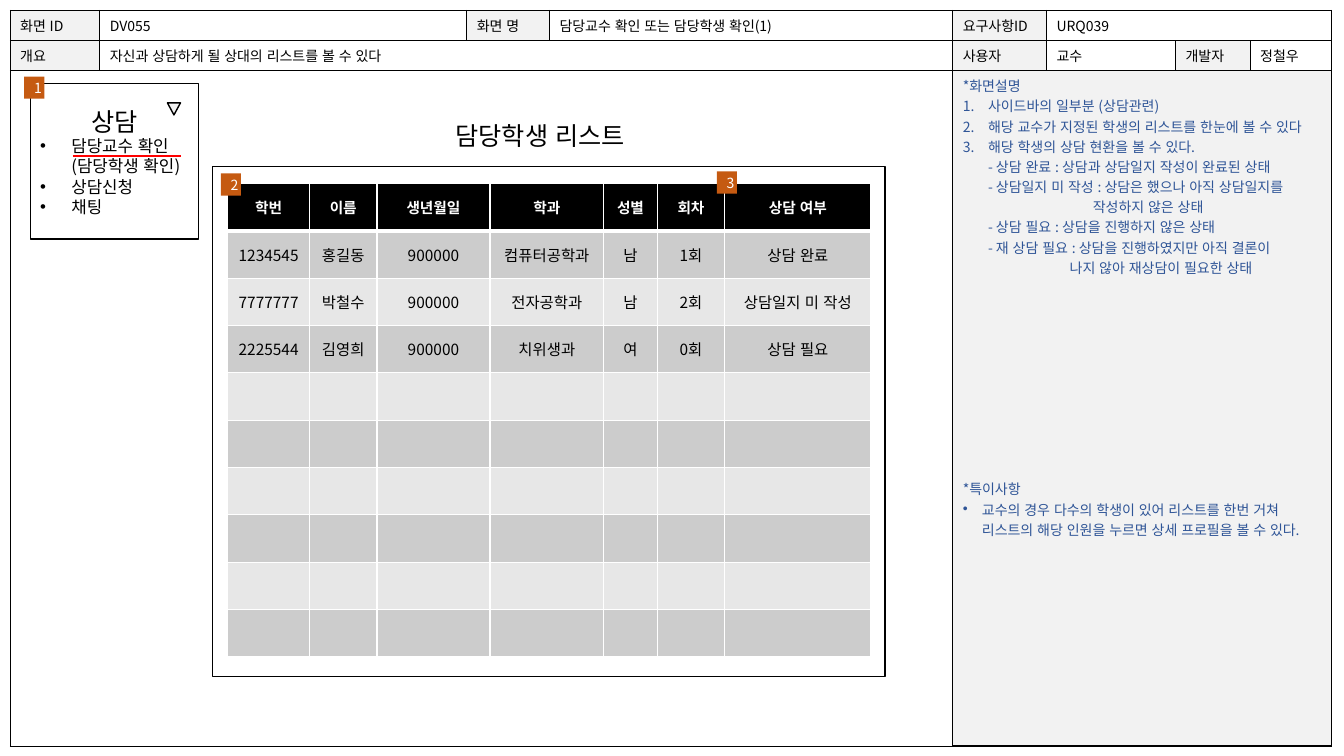
"""Builds the screen specification slide for the student list."""
from dataclasses import dataclass, field
from typing import Any

from lxml.etree import SubElement
from pptx import Presentation
from pptx.enum.lang import MSO_LANGUAGE_ID as Language
from pptx.enum.shapes import MSO_CONNECTOR as Connector, MSO_SHAPE as Preset
from pptx.enum.text import MSO_ANCHOR as Anchor, MSO_AUTO_SIZE as AutoSize, PP_ALIGN as Align
from pptx.oxml.ns import qn
from pptx.util import Inches, Pt

from pptx.dml.color import RGBColor

FONT = "Noto Sans CJK KR"
BLACK, WHITE, PANEL, BLUE, ORANGE, RED = "000000", "FFFFFF", "F2F2F2", "2F5597", "C55A11", "FF0000"
BANDS = ("CCCCCC", "E7E7E7")


@dataclass
class Line:
    text: str
    size: float = 10
    color: str = BLACK
    bold: bool = False
    bullet: str = ""
    left: float = 0
    hang: float = 0
    layout: dict[str, Any] = field(default_factory=dict)


@dataclass
class Box:
    preset: Preset
    area: tuple[float, float, float, float]
    fill: str
    line: str = ""
    lines: list[Line] = field(default_factory=list)
    rotation: float = 0


@dataclass
class Field:
    row: int
    column: int
    text: str
    span: int = 1
    fill: str = WHITE


def apply(target: Any, values: dict[str, Any]) -> None:
    for name, value in values.items():
        setattr(target, name, value)


def paint(fill: Any, color: str) -> None:
    fill.solid()
    fill.fore_color.rgb = RGBColor.from_string(color)


def write(frame: Any, lines: list[Line]) -> None:
    for index, line in enumerate(lines):
        paragraph = frame.add_paragraph() if index else frame.paragraphs[0]
        apply(paragraph, line.layout)
        run = paragraph.add_run()
        run.text = line.text
        apply(run.font, {"name": FONT, "size": Pt(line.size), "bold": line.bold,
                         "language_id": Language.KOREAN})
        paint(run.font.fill, line.color)
        SubElement(run.font._element, qn("a:ea"), typeface=FONT)
        properties = paragraph._p.get_or_add_pPr()
        properties.set("marL", str(Inches(line.left)))
        properties.set("indent", str(Inches(-line.hang)))
        if line.bullet == "1.":
            SubElement(properties, qn("a:buAutoNum"), type="arabicPeriod")
        elif line.bullet:
            SubElement(properties, qn("a:buFont"), typeface="Arial")
            SubElement(properties, qn("a:buChar"), char=line.bullet)


def draw_box(shapes: Any, box: Box) -> None:
    shape = shapes.add_shape(box.preset, *map(Inches, box.area))
    shape.shadow.inherit = False
    shape.rotation = box.rotation
    paint(shape.fill, box.fill)
    if box.line:
        paint(shape.line.fill, box.line)
        shape.line.width = Pt(1)
    else:
        shape.line.fill.background()
    shape.text_frame.vertical_anchor = Anchor.MIDDLE
    write(shape.text_frame, box.lines)


def draw_badge(shapes: Any, number: int, left: float, top: float) -> None:
    label = Line(str(number), color=WHITE, layout={"alignment": Align.CENTER})
    draw_box(shapes, Box(Preset.RECTANGLE, (left, top, 0.2, 0.22), ORANGE, lines=[label]))


def add_grid(shapes: Any, left: float, top: float, widths: list[float], heights: list[float]) -> Any:
    grid = shapes.add_table(len(heights), len(widths), Inches(left), Inches(top),
                            Inches(sum(widths)), Inches(sum(heights))).table
    apply(grid, {"first_row": False, "horz_banding": False})
    for column, width in zip(grid.columns, widths):
        column.width = Inches(width)
    for row, height in zip(grid.rows, heights):
        row.height = Inches(height)
    return grid


def style_cell(cell: Any, fill: str, color: str, width: float, **special: float) -> None:
    properties = cell._tc.get_or_add_tcPr()
    for side in "LRTB":
        edge = SubElement(properties, qn(f"a:ln{side}"), w=str(Pt(special.get(side, width))))
        SubElement(SubElement(edge, qn("a:solidFill")), qn("a:srgbClr"), val=color)
    paint(cell.fill, fill)


def draw_specification(shapes: Any) -> None:
    grid = add_grid(shapes, 0.1, 0.1, [0.89, 3.64, 0.82, 4, 0.93, 1.28, 0.74, 0.81], [0.28, 0.29, 6.7])
    fields = [
        Field(0, 0, "화면 ID", fill=PANEL), Field(0, 1, "DV055"),
        Field(0, 2, "화면 명", fill=PANEL), Field(0, 3, "담당교수 확인 또는 담당학생 확인(1)"),
        Field(0, 4, "요구사항ID", fill=PANEL), Field(0, 5, "URQ039", 3),
        Field(1, 0, "개요", fill=PANEL), Field(1, 1, "자신과 상담하게 될 상대의 리스트를 볼 수 있다", 3),
        Field(1, 4, "사용자", fill=PANEL), Field(1, 5, "교수"),
        Field(1, 6, "개발자", fill=PANEL), Field(1, 7, "정철우"),
        Field(2, 0, "", 4), Field(2, 4, "", 4, PANEL),
    ]
    for item in fields:
        special = {} if item.row < 2 else {"L": 1, "B": 1} if item.column else {"R": 1}
        for column in range(item.column, item.column + item.span):
            style_cell(grid.cell(item.row, column), item.fill, BLACK, 0.5, **special)
        cell = grid.cell(item.row, item.column)
        if item.span > 1:
            cell.merge(grid.cell(item.row, item.column + item.span - 1))
        if item.text:
            write(cell.text_frame, [Line(item.text)])
    numbered = ["사이드바의 일부분 (상담관련)", "해당 교수가 지정된 학생의 리스트를 한눈에 볼 수 있다",
                "해당 학생의 상담 현환을 볼 수 있다."]
    states = [("- 상담 완료 : 상담과 상담일지 작성이 완료된 상태", 0.25),
              ("- 상담일지 미 작성 : 상담은 했으나 아직 상담일지를", 0.25), ("작성하지 않은 상태", 1.29),
              ("- 상담 필요 : 상담을 진행하지 않은 상태", 0.25),
              ("- 재 상담 필요 : 상담을 진행하였지만 아직 결론이", 0.25), ("나지 않아 재상담이 필요한 상태", 1.06)]
    remark = "교수의 경우 다수의 학생이 있어 리스트를 한번 거쳐 리스트의 해당 인원을 누르면 상세 프로필을 볼 수 있다."
    write(grid.cell(2, 4).text_frame, [
        Line("*화면설명", color=BLUE),
        *(Line(text, color=BLUE, bullet="1.", left=0.25, hang=0.25) for text in numbered),
        *(Line(text, color=BLUE, left=left) for text, left in states),
        Line("*특이사항", color=BLUE, layout={"space_before": Pt(144)}),
        Line(remark, color=BLUE, bullet="•", left=0.19, hang=0.19),
    ])


def draw_sidebar(shapes: Any) -> None:
    sidebar = shapes.add_group_shape().shapes
    menu = [("담당교수 확인", "•"), ("(담당학생 확인)", ""), ("상담신청", "•"), ("채팅", "•")]
    lines = [Line("상담", 18)] + [
        Line(text, 12, bullet=mark, left=0.31, hang=0.31 if mark else 0) for text, mark in menu]
    draw_box(sidebar, Box(Preset.RECTANGLE, (0.3, 0.83, 1.67, 1.54), WHITE, BLACK, lines))
    underline = sidebar.add_connector(Connector.STRAIGHT, *map(Inches, (0.72, 1.55, 1.8, 1.55)))
    paint(underline.line.fill, RED)
    underline.line.width = Pt(1.5)
    SubElement(underline._element.spPr, qn("a:effectLst"))
    draw_badge(sidebar, 1, 0.24, 0.76)
    draw_box(sidebar, Box(Preset.ISOSCELES_TRIANGLE, (1.66, 1.02, 0.13, 0.12), PANEL, BLACK, rotation=180))


def draw_students(shapes: Any) -> None:
    draw_box(shapes, Box(Preset.RECTANGLE, (2.11, 1.65, 6.67, 5.06), WHITE, BLACK))
    heading = shapes.add_textbox(*map(Inches, (4.42, 1.14, 2.06, 0.4))).text_frame
    apply(heading, {"word_wrap": False, "auto_size": AutoSize.SHAPE_TO_FIT_TEXT})
    write(heading, [Line("담당학생 리스트", 18)])
    records = [
        ("학번", "이름", "생년월일", "학과", "성별", "회차", "상담 여부"),
        ("1234545", "홍길동", "900000", "컴퓨터공학과", "남", "1회", "상담 완료"),
        ("7777777", "박철수", "900000", "전자공학과", "남", "2회", "상담일지 미 작성"),
        ("2225544", "김영희", "900000", "치위생과", "여", "0회", "상담 필요"),
    ]
    grid = add_grid(shapes, 2.26, 1.82, [0.81, 0.67, 1.12, 1.13, 0.53, 0.67, 1.45], [0.47] * 10)
    for row in range(10):
        special = {0: {"B": 3}, 1: {"T": 3}}.get(row, {})
        for column in range(7):
            cell = grid.cell(row, column)
            style_cell(cell, BANDS[(row - 1) % 2] if row else BLACK, WHITE, 1, **special)
            cell.vertical_anchor = Anchor.MIDDLE
            if row < len(records):
                size, color = (11, BLACK) if row else (10.5, WHITE)
                write(cell.text_frame, [Line(records[row][column], size, color, row == 0,
                                             layout={"alignment": Align.CENTER})])
    draw_badge(shapes, 2, 2.19, 1.72)
    draw_badge(shapes, 3, 7.11, 1.7)


def main() -> None:
    deck = Presentation()
    apply(deck, {"slide_width": Inches(13.33), "slide_height": Inches(7.5)})
    shapes = deck.slides.add_slide(deck.slide_layouts[6]).shapes
    draw_specification(shapes)
    draw_sidebar(shapes)
    draw_students(shapes)
    deck.save("out.pptx")


if __name__ == "__main__":
    main()
